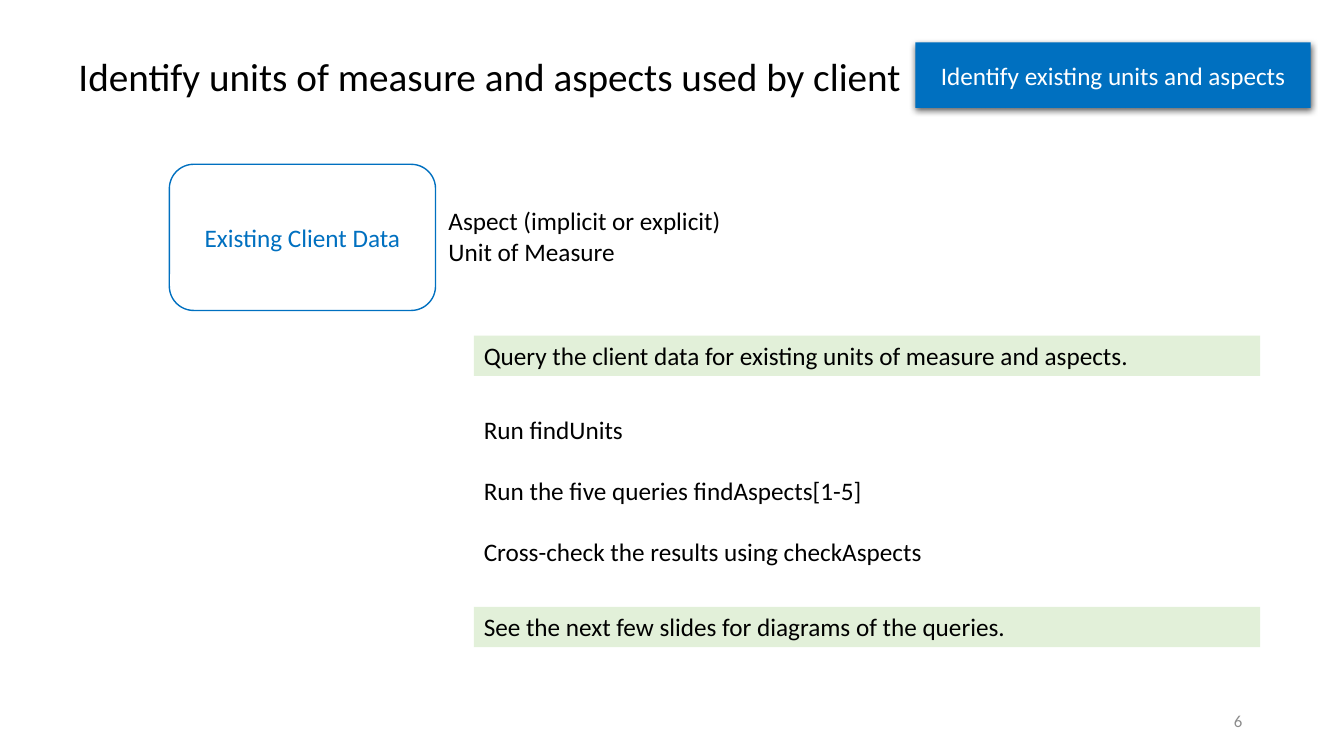
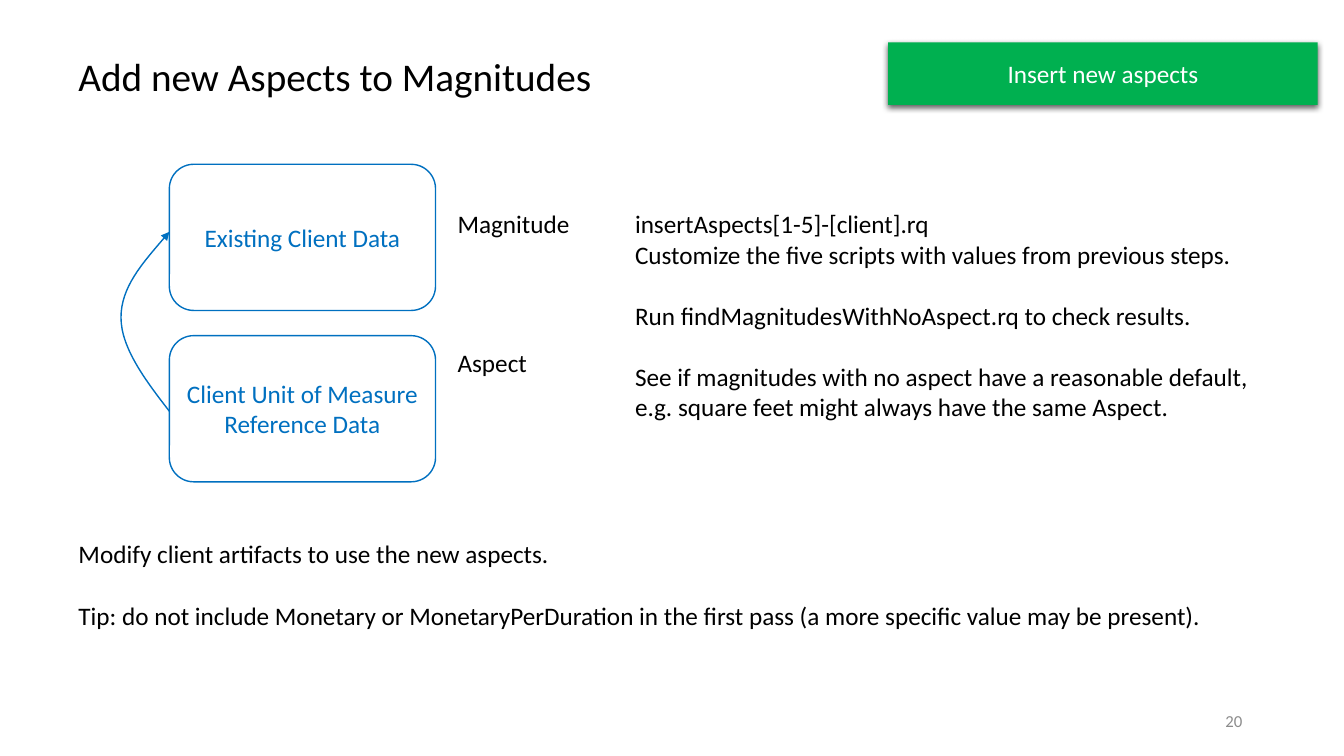
from lxml.etree import SubElement
from pptx import Presentation
from pptx.dml.color import RGBColor
from pptx.enum.shapes import MSO_SHAPE as Shape
from pptx.enum.text import MSO_ANCHOR as Anchor, PP_ALIGN as Align
from pptx.oxml.ns import qn
from pptx.util import Inches, Pt

FONT = "Calibri"
BLACK, WHITE, GRAY = "000000", "FFFFFF", "8C8C8C"
BLUE, GREEN, PALE_GREEN = "0070C0", "00B050", "E2F0D9"
BODY_SIZE, TITLE_SIZE, NUMBER_SIZE = 18, 28, 12
BLANK_LINE = 22  # points, one line of body text

BOX_LEFT, BOX_TOP, BOX_WIDTH, BOX_HEIGHT, BOX_STEP = 1.68, 1.63, 2.64, 1.45, 1.7

# Each text is (left, top, width, height, groups of lines); a gap parts the groups.
SLIDES = [
    {
        "title": ("Identify units of measure and aspects used by client", 8.73),
        "badge": ("Identify existing units and aspects", BLUE, (9.08, 0.42, 3.92, 0.65)),
        "boxes": [["Existing Client Data"]],
        "bands": [
            (3.33, "Query the client data for existing units of measure and aspects."),
            (6.02, "See the next few slides for diagrams of the queries."),
        ],
        "texts": [
            (4.35, 1.99, 2.93, 0.71, [["Aspect (implicit or explicit)", "Unit of Measure"]]),
            (4.7, 4.06, 4.71, 1.62, [
                ["Run findUnits"],
                ["Run the five queries findAspects[1-5]"],
                ["Cross-check the results using checkAspects"],
            ]),
        ],
        "curve": [],
        "number": "6",
    },
    {
        "title": ("Add new Aspects to Magnitudes", 5.35),
        "badge": ("Insert new aspects", GREEN, (8.81, 0.42, 4.26, 0.62)),
        "boxes": [["Existing Client Data"], ["Client Unit of Measure", "Reference Data"]],
        "bands": [],
        "texts": [
            (4.44, 2.02, 1.33, 0.4, [["Magnitude"]]),
            (4.44, 3.4, 0.9, 0.4, [["Aspect"]]),
            (6.2, 2.02, 6.4, 2.22, [
                ["insertAspects[1-5]-[client].rq",
                 "Customize the five scripts with values from previous steps."],
                ["Run findMagnitudesWithNoAspect.rq to check results."],
                ["See if magnitudes with no aspect have a reasonable default,",
                 "e.g. square feet might always have the same Aspect."],
            ]),
            (0.68, 5.29, 5.08, 0.4, [["Modify client artifacts to use the new aspects."]]),
            (0.68, 5.91, 11.47, 0.4, [[
                "Tip: do not include Monetary or MonetaryPerDuration in the first pass "
                "(a more specific value may be present)."]]),
        ],
        "curve": [(1.68, 2.3), (1.44, 2.58), (1.2, 2.85), (1.2, 3.15),
                  (1.2, 3.45), (1.44, 3.77), (1.68, 4.08)],
        "number": "20",
    },
]


def color(hex_string):
    return RGBColor.from_string(hex_string)


def write(shape, groups, size=BODY_SIZE, ink=BLACK, align=Align.LEFT,
          anchor=Anchor.TOP, wrap=True):
    """Fill a shape with groups of lines, leaving a line's height between groups."""
    frame = shape.text_frame
    frame.word_wrap = wrap
    frame.vertical_anchor = anchor
    frame.text = "\n".join(line for group in groups for line in group)
    starts = {sum(map(len, groups[:index])) for index in range(1, len(groups))}
    for index, paragraph in enumerate(frame.paragraphs):
        paragraph.alignment = align
        if index in starts:
            paragraph.space_before = Pt(BLANK_LINE)
        font = paragraph.runs[0].font
        font.name, font.size = FONT, Pt(size)
        font.color.rgb = color(ink)


def add_text(slide, left, top, width, height, groups, **style):
    box = slide.shapes.add_textbox(*map(Inches, (left, top, width, height)))
    write(box, groups, **style)


def add_box(slide, kind, bounds, fill=None, line=None):
    shape = slide.shapes.add_shape(kind, *map(Inches, bounds))
    shape.shadow.inherit = False
    if fill:
        shape.fill.solid()
        shape.fill.fore_color.rgb = color(fill)
    else:
        shape.fill.background()
    if line:
        shape.line.color.rgb = color(line)
        shape.line.width = Pt(1)
    else:
        shape.line.fill.background()
    return shape


def add_badge(slide, label, fill, bounds):
    badge = add_box(slide, Shape.RECTANGLE, bounds, fill=fill)
    write(badge, [[label]], ink=WHITE, align=Align.CENTER, anchor=Anchor.MIDDLE)
    effects = badge.element.spPr.find(qn("a:effectLst"))
    shadow = SubElement(effects, qn("a:outerShdw"), blurRad=str(Pt(4.5)),
                        dist=str(Pt(1.5)), dir="5400000", rotWithShape="0")
    shade = SubElement(shadow, qn("a:srgbClr"), val=BLACK)
    SubElement(shade, qn("a:alpha"), val="63000")


def add_curved_arrow(slide, points):
    """Draw Bezier curves through a start and triples of points, arrowhead at the start."""
    start, *rest = [(Inches(x), Inches(y)) for x, y in points]
    builder = slide.shapes.build_freeform(*start)
    builder.add_line_segments(rest, close=False)
    curve = builder.convert_to_shape()
    curve.shadow.inherit = False
    curve.fill.background()
    curve.line.color.rgb = color(BLUE)
    curve.line.width = Pt(1)
    segments = list(curve.element.iter(qn("a:lnTo")))
    outline = segments[0].getparent()
    for first in range(0, len(segments), 3):
        bezier = SubElement(outline, qn("a:cubicBezTo"))
        for segment in segments[first:first + 3]:
            bezier.append(segment[0])
            outline.remove(segment)
    SubElement(curve.element.spPr.find(qn("a:ln")), qn("a:headEnd"), type="triangle")


def add_slide(presentation, content):
    slide = presentation.slides.add_slide(presentation.slide_layouts[6])
    for index, lines in enumerate(content["boxes"]):
        bounds = (BOX_LEFT, BOX_TOP + index * BOX_STEP, BOX_WIDTH, BOX_HEIGHT)
        box = add_box(slide, Shape.ROUNDED_RECTANGLE, bounds, line=BLUE)
        box.text_frame.margin_left = box.text_frame.margin_right = Inches(0.05)
        write(box, [lines], ink=BLUE, align=Align.CENTER, anchor=Anchor.MIDDLE)
    title, title_width = content["title"]
    add_text(slide, 0.68, 0.47, title_width, 0.57, [[title]], size=TITLE_SIZE, wrap=False)
    for top, label in content["bands"]:
        band = add_box(slide, Shape.RECTANGLE, (4.7, top, 7.8, 0.4), fill=PALE_GREEN)
        write(band, [[label]])
    for text in content["texts"]:
        add_text(slide, *text, wrap=False)
    if content["curve"]:
        add_curved_arrow(slide, content["curve"])
    add_badge(slide, *content["badge"])
    add_text(slide, 9.42, 6.95, 3, 0.4, [[content["number"]]], size=NUMBER_SIZE,
             ink=GRAY, align=Align.RIGHT, anchor=Anchor.MIDDLE)


def main():
    presentation = Presentation()
    presentation.slide_width, presentation.slide_height = Inches(13.33), Inches(7.5)
    for content in SLIDES:
        add_slide(presentation, content)
    presentation.save("out.pptx")


if __name__ == "__main__":
    main()
